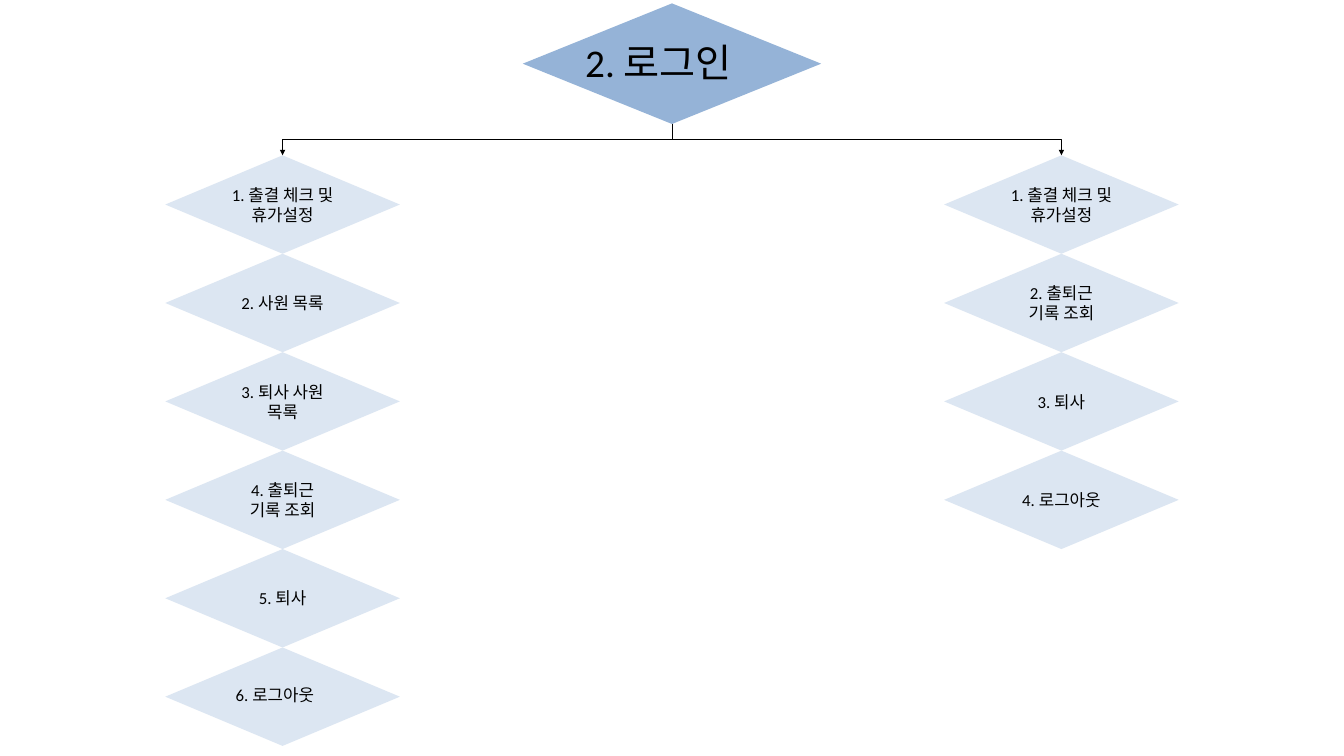
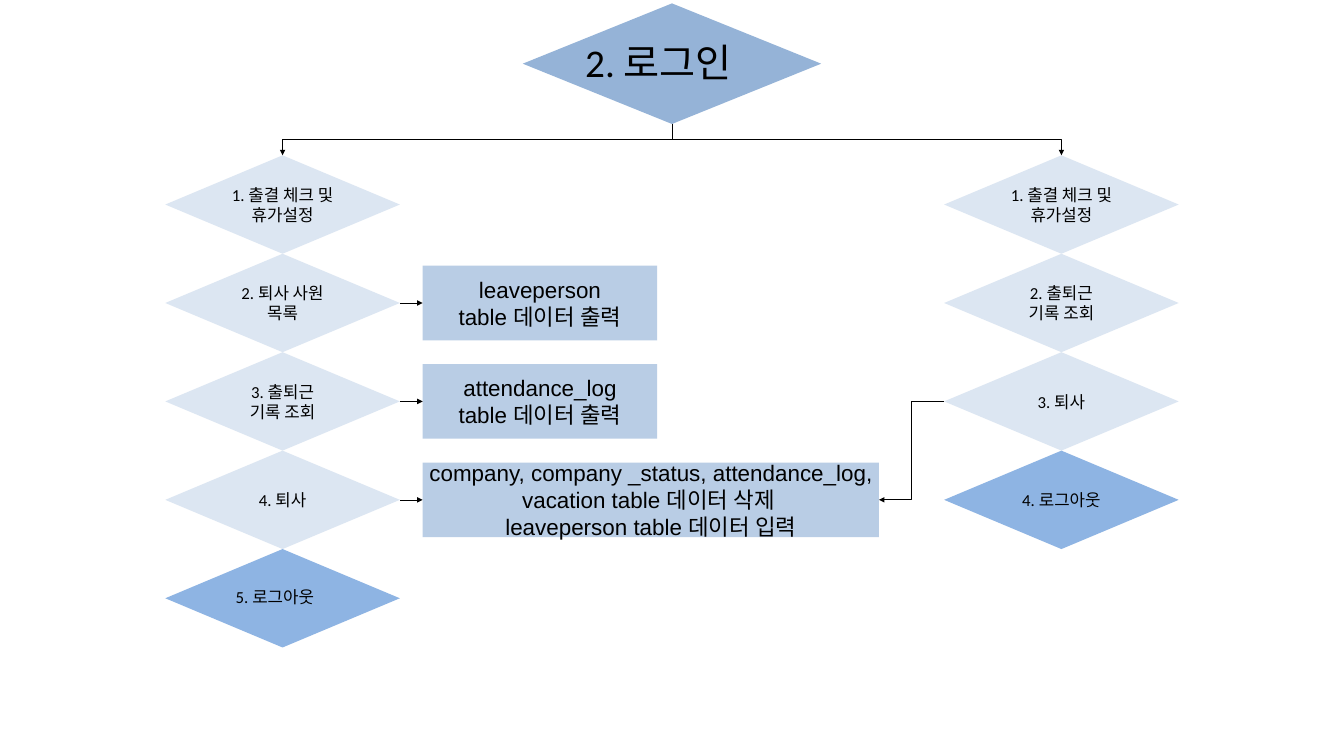
from lxml import etree
from pptx import Presentation
from pptx.dml.color import RGBColor
from pptx.enum.shapes import MSO_CONNECTOR, MSO_SHAPE
from pptx.enum.text import MSO_ANCHOR, MSO_AUTO_SIZE, PP_ALIGN
from pptx.oxml.ns import qn
from pptx.util import Inches, Pt

DIAMOND, RECTANGLE = MSO_SHAPE.FLOWCHART_DECISION, MSO_SHAPE.RECTANGLE
STRAIGHT, ELBOW = MSO_CONNECTOR.STRAIGHT, MSO_CONNECTOR.ELBOW
MIDDLE, CENTER, LEFT = MSO_ANCHOR.MIDDLE, PP_ALIGN.CENTER, PP_ALIGN.LEFT
GROW = MSO_AUTO_SIZE.SHAPE_TO_FIT_TEXT
LEFT_SIDE, RIGHT_SIDE = 1, 3

BLACK = RGBColor(0x00, 0x00, 0x00)
ROOT_BLUE = RGBColor(0x95, 0xB3, 0xD7)
STEP_BLUE = RGBColor(0xDC, 0xE6, 0xF2)
EXIT_BLUE = RGBColor(0x8E, 0xB4, 0xE3)
TABLE_BLUE = RGBColor(0xB9, 0xCD, 0xE5)

TITLE = {"name": "Calibri", "size": Pt(42)}
STEP = {"name": "Calibri", "size": Pt(18)}
DATA = {"name": "Arial", "size": Pt(24)}

# Layout in percent of the slide's width and height
ADMIN_LEFT, STAFF_LEFT, DATA_LEFT = 12.3, 70.25, 31.45
STEP_WIDTH, WIDE_WIDTH = 17.45, 33.95
FIRST_ROW, ROW_HEIGHT, DATA_HEIGHT = 20.55, 13.02, 9.87

CHECK = "1. 출결 체크 및 휴가설정"
STAFF_STEPS = [CHECK, "2. 출퇴근\n기록 조회", "3. 퇴사", "4. 로그아웃"]


class FlowChart:
    """Holds the deck, the current slide and the shared style."""

    def __init__(self):
        self.deck = Presentation()
        self.deck.slide_width, self.deck.slide_height = Inches(20), Inches(11.25)
        self.page = None

    def add_page(self):
        self.page = self.deck.slides.add_slide(self.deck.slide_layouts[6])

    def place(self, left, top, width, height):
        across, down = self.deck.slide_width / 100, self.deck.slide_height / 100
        return (round(left * across), round(top * down),
                round(width * across), round(height * down))

    def add_text(self, frame, text, style, align):
        for number, line in enumerate(text.split("\n")):
            para = frame.add_paragraph() if number else frame.paragraphs[0]
            para.alignment = align
            span = para.add_run()
            span.text = line
            for name, value in style.items():
                setattr(span.font, name, value)
            span.font.color.rgb = BLACK

    def box(self, kind, area, fill, text="", style=STEP):
        box = self.page.shapes.add_shape(kind, *self.place(*area))
        box.shadow.inherit = False
        box.fill.solid()
        box.fill.fore_color.rgb = fill
        box.line.fill.background()
        box.text_frame.vertical_anchor = MIDDLE
        if text:
            self.add_text(box.text_frame, text, style, CENTER)
        return box

    def caption(self, area, text, style, wrap):
        frame = self.page.shapes.add_textbox(*self.place(*area)).text_frame
        frame.word_wrap = wrap
        frame.auto_size = GROW
        self.add_text(frame, text, style, LEFT)

    def arrow(self, kind, *ends):
        arrow = self.page.shapes.add_connector(kind, *ends)
        arrow.line.color.rgb = BLACK
        arrow.line.width = Pt(0.75)
        properties = arrow.element.spPr
        etree.SubElement(properties.find(qn("a:ln")), qn("a:tailEnd"), type="triangle")
        etree.SubElement(properties, qn("a:effectLst"))
        return arrow

    def link(self, kind, source, source_side, target, target_side):
        arrow = self.arrow(kind, 0, 0, 0, 0)
        arrow.begin_connect(source, source_side)
        arrow.end_connect(target, target_side)

    def branch(self, parent, child):
        """Elbow that leaves downwards: a level elbow turned a quarter."""
        start_x, start_y = parent.left + parent.width // 2, parent.top + parent.height
        end_x, end_y = child.left + child.width // 2, child.top
        drop, reach = end_y - start_y, abs(end_x - start_x)
        near = (start_x + end_x - drop) // 2
        top = (start_y + end_y - reach) // 2
        far = near + drop
        to_right = end_x > start_x
        if to_right:
            near, far = far, near
        arrow = self.arrow(ELBOW, near, top, far, top + reach)
        quarter_turns = 3 if to_right else 1
        arrow.element.spPr.find(qn("a:xfrm")).set("rot", str(quarter_turns * 5400000))

    def root(self):
        box = self.box(DIAMOND, (38.9, 0.45, 22.2, 15.95), ROOT_BLUE)
        self.caption((43.05, 4.6, 13.9, 7.2), "2. 로그인", TITLE, True)
        return box

    def steps(self, left, labels, exit_fill, exit_caption=False):
        """Stack of touching diamonds; the last one is the way out."""
        boxes = []
        for row, label in enumerate(labels):
            top = FIRST_ROW + row * ROW_HEIGHT
            last = row == len(labels) - 1
            apart = last and exit_caption
            boxes.append(self.box(DIAMOND, (left, top, STEP_WIDTH, ROW_HEIGHT),
                                  exit_fill if last else STEP_BLUE,
                                  "" if apart else label))
            if apart:
                self.caption((left + 4.75, top + 4.5, 7.3, 3.56), label, STEP, False)
        return boxes

    def data_box(self, row, width, text):
        top = FIRST_ROW + row * ROW_HEIGHT + (ROW_HEIGHT - DATA_HEIGHT) / 2
        return self.box(RECTANGLE, (DATA_LEFT, top, width, DATA_HEIGHT),
                        TABLE_BLUE, text, DATA)

    def menu_page(self, admin_labels, exit_fill):
        self.add_page()
        root = self.root()
        admin = self.steps(ADMIN_LEFT, admin_labels, exit_fill, exit_caption=True)
        staff = self.steps(STAFF_LEFT, STAFF_STEPS, exit_fill)
        for first_step in (admin[0], staff[0]):
            self.branch(root, first_step)
        return admin, staff


def main():
    chart = FlowChart()

    # Menus after login
    chart.menu_page([CHECK, "2. 사원 목록", "3. 퇴사 사원 목록",
                     "4. 출퇴근\n기록 조회", "5. 퇴사", "6. 로그아웃"], STEP_BLUE)

    # Menus with the tables they use
    admin, staff = chart.menu_page(
        [CHECK, "2. 퇴사 사원 목록", "3. 출퇴근\n기록 조회", "4. 퇴사", "5. 로그아웃"],
        EXIT_BLUE)
    tables = [
        (STEP_WIDTH, "leaveperson\ntable 데이터 출력"),
        (STEP_WIDTH, "attendance_log\ntable 데이터 출력"),
        (WIDE_WIDTH, "company, company _status, attendance_log,\n"
                     "vacation table 데이터 삭제 \nleaveperson table 데이터 입력"),
    ]
    for row, (width, text) in enumerate(tables, start=1):
        table_box = chart.data_box(row, width, text)
        chart.link(STRAIGHT, admin[row], RIGHT_SIDE, table_box, LEFT_SIDE)
    chart.link(ELBOW, staff[2], LEFT_SIDE, table_box, RIGHT_SIDE)

    chart.deck.save("out.pptx")


if __name__ == "__main__":
    main()
